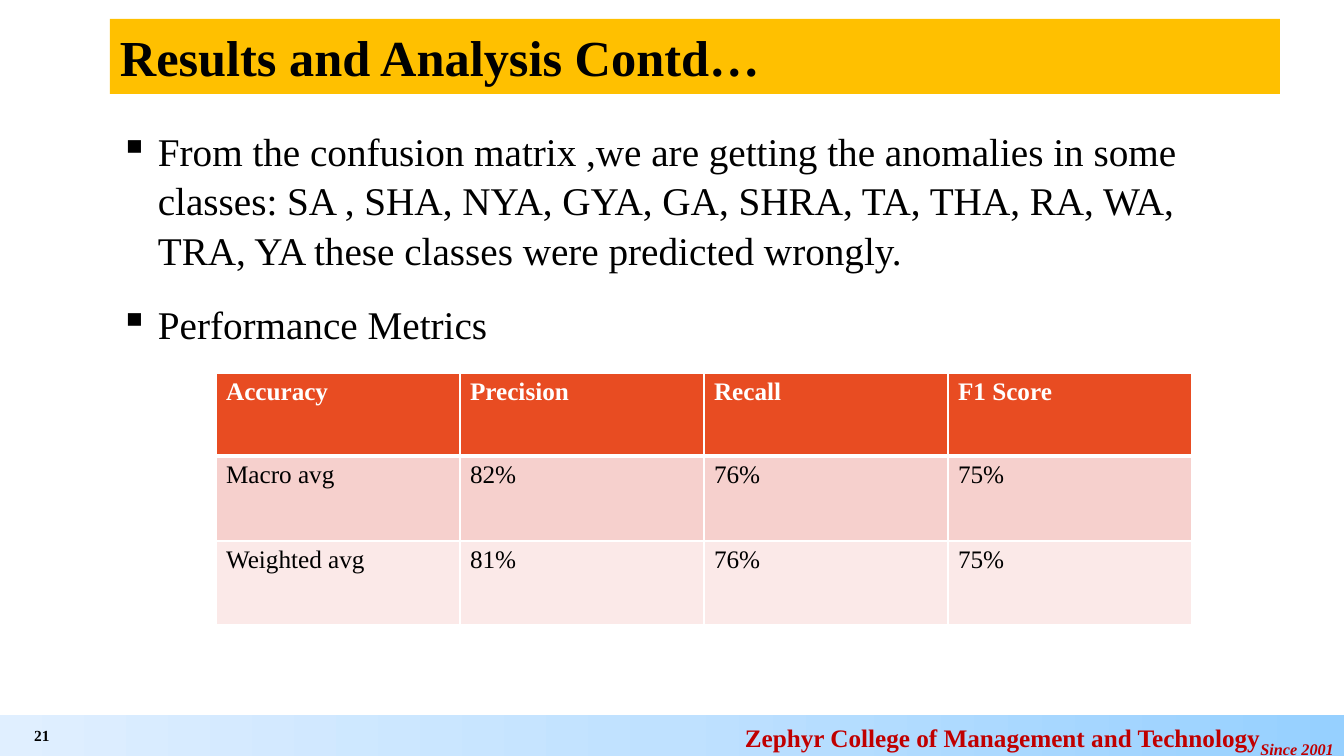
"""Builds the results slide with its performance metrics table."""
from pptx import Presentation
from pptx.dml.color import RGBColor
from pptx.enum.shapes import MSO_SHAPE as Preset
from pptx.enum.text import MSO_ANCHOR as Anchor, PP_ALIGN as Align
from pptx.oxml import parse_xml
from pptx.oxml.ns import nsdecls
from pptx.util import Pt

TITLE = "Results and Analysis Contd…"
FINDINGS = [
    "From the confusion matrix ,we are getting the anomalies in some classes: "
    "SA , SHA, NYA, GYA, GA, SHRA, TA, THA, RA, WA, TRA, YA these classes "
    "were predicted wrongly.",
    "Performance Metrics",
]
METRICS = [
    ("Accuracy", "Precision", "Recall", "F1 Score"),
    ("Macro avg", "82%", "76%", "75%"),
    ("Weighted avg", "81%", "76%", "75%"),
]
ROW_FILLS = ["E84C22", "F6D0CD", "FBE9E8"]
ROW_HEIGHTS = [83, 85, 84]
COLUMN_WIDTH = 244
COLLEGE, FOUNDED = "Zephyr College of Management and Technology", "Since 2001"
PAGE = "21"
FOOTER_STOPS = [(0, "E0EFFF"), (50, "BFE1FF"), (100, "96D0FF")]
FONT = "Times New Roman"
BLACK, WHITE, RED, AMBER = "000000", "FFFFFF", "C00000", "FFC000"
EMU_PER_PX = 914400 / 100.8


def px(length):
    return round(length * EMU_PER_PX)


def box(*sides):
    return [px(side) for side in sides]


def color(code):
    return RGBColor.from_string(code)


def style(font, size, code, bold=False):
    font.name, font.size, font.bold = FONT, Pt(size), bold
    font.color.rgb = color(code)


def band(slide, *sides):
    shape = slide.shapes.add_shape(Preset.RECTANGLE, *box(*sides))
    shape.shadow.inherit = False
    shape.line.fill.background()
    shape.text_frame.word_wrap = True
    return shape


def text_area(slide, *sides):
    frame = slide.shapes.add_textbox(*box(*sides)).text_frame
    frame.word_wrap = True
    return frame


def add_footer(slide):
    footer = band(slide, 0, 715, 1344, 41)
    stops = "".join(
        f'<a:gs pos="{at * 1000}"><a:srgbClr val="{code}"/></a:gs>'
        for at, code in FOOTER_STOPS)
    footer._element.spPr.find("{*}prstGeom").addnext(parse_xml(
        f'<a:gradFill {nsdecls("a")} rotWithShape="1"><a:gsLst>{stops}</a:gsLst>'
        '<a:lin ang="0" scaled="0"/></a:gradFill>'))
    footer.text_frame.vertical_anchor = Anchor.TOP
    credit = footer.text_frame.paragraphs[0]
    credit.alignment = Align.RIGHT
    style(credit.font, 18, RED, True)
    college, founded = credit.add_run(), credit.add_run()
    college.text, founded.text = COLLEGE, FOUNDED
    for run, size in ((college, 18), (founded, 20)):
        style(run.font, size, RED, True)
    founded.font.italic = True
    founded.font._element.set("baseline", "-25000")

    page = text_area(slide, 17, 721, 50, 35).paragraphs[0]
    page.text, page.alignment = PAGE, Align.CENTER
    style(page.font, 11, BLACK, True)


def add_findings(slide):
    frame = text_area(slide, 110, 120, 1170, 555)
    for index, finding in enumerate(FINDINGS):
        point = frame.add_paragraph() if index else frame.paragraphs[0]
        point.text = finding
        point.line_spacing = 1.05
        point.space_before, point.space_after = Pt(6), Pt(12)
        style(point.font, 28, BLACK)
        layout = point._p.get_or_add_pPr()
        layout.set("marL", str(px(38)))
        layout.set("indent", str(px(-38)))
        bullet = parse_xml(f'<a:buChar {nsdecls("a")} char="▪"/>')
        layout.find("{*}defRPr").addprevious(bullet)


def add_title(slide):
    title = band(slide, 110, 19, 1170, 75)
    title.fill.solid()
    title.fill.fore_color.rgb = color(AMBER)
    title.text_frame.vertical_anchor = Anchor.MIDDLE
    heading = title.text_frame.paragraphs[0]
    heading.text, heading.alignment = TITLE, Align.LEFT
    style(heading.font, 36, BLACK, True)


def add_borders(cell, row):
    widths = {"L": 1, "R": 1, "T": 3 if row == 1 else 1, "B": 1 if row else 3}
    edges = cell._tc.get_or_add_tcPr()
    for index, (side, width) in enumerate(widths.items()):
        edges.insert(index, parse_xml(
            f'<a:ln{side} {nsdecls("a")} w="{Pt(width)}"><a:solidFill>'
            f'<a:srgbClr val="{WHITE}"/></a:solidFill></a:ln{side}>'))


def add_metrics(slide):
    columns = len(METRICS[0])
    table = slide.shapes.add_table(len(METRICS), columns, *box(
        216, 373, COLUMN_WIDTH * columns, sum(ROW_HEIGHTS))).table
    for column in table.columns:
        column.width = px(COLUMN_WIDTH)
    for row, values in enumerate(METRICS):
        table.rows[row].height = px(ROW_HEIGHTS[row])
        for column, value in enumerate(values):
            cell = table.cell(row, column)
            cell.fill.solid()
            cell.fill.fore_color.rgb = color(ROW_FILLS[row])
            add_borders(cell, row)
            entry = cell.text_frame.paragraphs[0]
            entry.text = value
            style(entry.font, 18, BLACK if row else WHITE, row == 0)


def main():
    deck = Presentation()
    deck.slide_width, deck.slide_height = box(1344, 756)
    slide = deck.slides.add_slide(deck.slide_layouts[6])
    add_footer(slide)
    add_findings(slide)
    add_title(slide)
    add_metrics(slide)
    deck.save("out.pptx")


if __name__ == "__main__":
    main()
